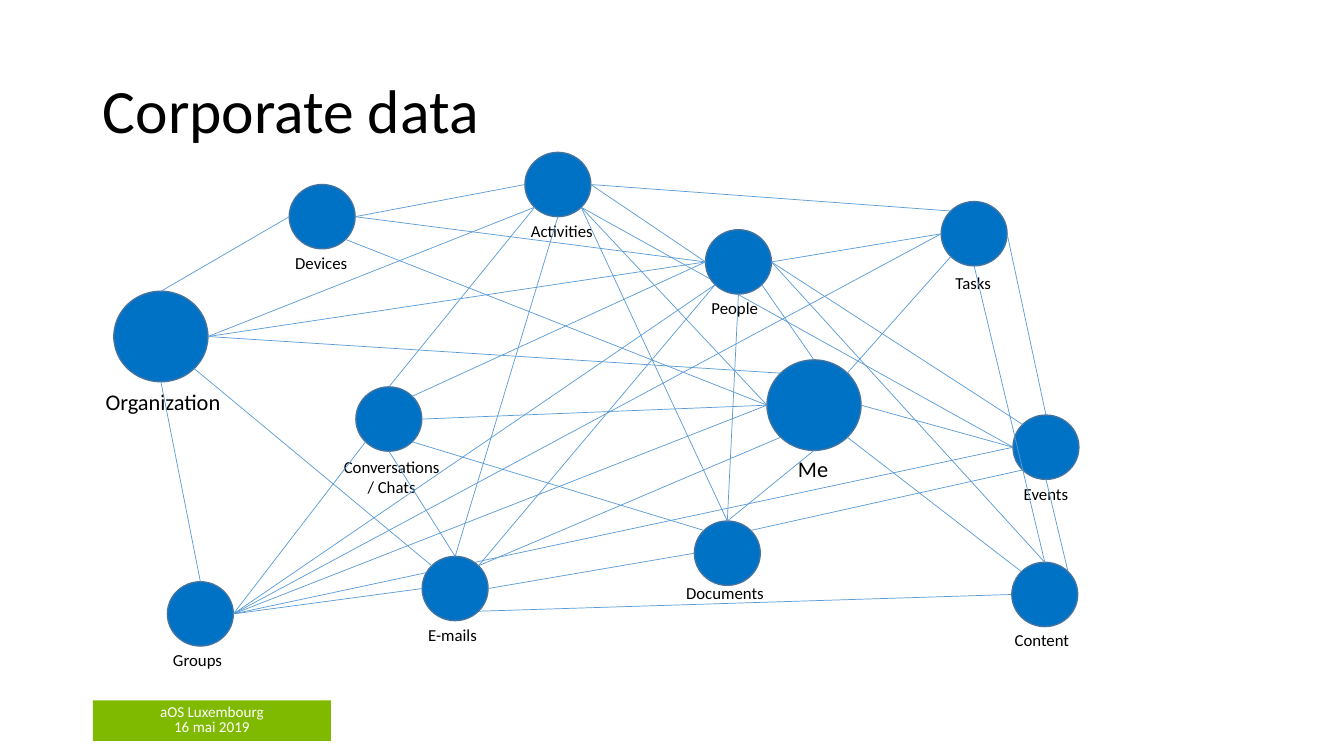
"""Build the slide that maps how corporate data is linked."""
import math

import lxml.etree
import pptx
import pptx.dml.color
import pptx.enum.shapes
import pptx.enum.text
import pptx.oxml.ns
import pptx.util

Cm = pptx.util.Cm
Pt = pptx.util.Pt
RGBColor = pptx.dml.color.RGBColor
Shape = pptx.enum.shapes.MSO_SHAPE
Align = pptx.enum.text.PP_ALIGN
Anchor = pptx.enum.text.MSO_ANCHOR

BLUE = RGBColor(0x00, 0x72, 0xC5)
EDGE = RGBColor(0x43, 0x73, 0x9E)
LINK = RGBColor(0x5B, 0x9B, 0xD5)
GREEN = RGBColor(0x7F, 0xBA, 0x00)
WHITE = RGBColor(0xFF, 0xFF, 0xFF)
BLACK = RGBColor(0x00, 0x00, 0x00)

SMALL = (1.66, 1.62)
LARGE = (2.37, 2.28)

NODES = {
    "Me": (19.33, 9.07, LARGE),
    "E-mails": (10.64, 14.02, SMALL),
    "Events": (25.53, 10.46, SMALL),
    "Documents": (17.5, 13.13, SMALL),
    "Tasks": (23.72, 5.08, SMALL),
    "Content": (25.5, 14.17, SMALL),
    "Groups": (4.22, 14.66, SMALL),
    "People": (17.78, 5.79, SMALL),
    "Organization": (2.87, 7.34, LARGE),
    "Chats": (8.97, 9.75, SMALL),
    "Devices": (7.29, 4.65, SMALL),
    "Activities": (13.23, 3.84, SMALL),
}

LABELS = [
    ("Me", 19.86, 11.35, 1.33),
    ("E-mails", 10.54, 15.62, 1.86),
    ("Events", 25.55, 12.07, 1.65),
    ("Documents", 17.04, 14.55, 2.64),
    ("Tasks", 23.83, 6.76, 1.78),
    ("Content", 25.32, 15.75, 2.11),
    ("Groups", 4.11, 16.26, 1.84),
    ("People", 17.68, 7.39, 1.88),
    ("Organization", 2.41, 9.65, 3.56),
    ("Devices", 7.19, 6.25, 1.85),
    ("Activities", 13.13, 5.44, 2.1),
]

COMPASS = ["E", "SE", "S", "SW", "W", "NW", "N", "NE"]

BACK = """
Activities SE Events W
Events W Groups E
Content W E-mails SE
"""

FRONT = """
Me S Documents N
Me NE Tasks SW
Chats SW Groups E
Chats NE People W
Me W Chats E
Activities SW Chats N
Chats S E-mails N
Me SW E-mails NE
Content NW Me SE
Events W Me E
Me W Devices SE
Me NW Organization E
Groups N Organization S
People SW Groups E
E-mails W Groups E
E-mails NW Organization SE
People SE Me N
People E Tasks W
Groups E Tasks W
Events NW People E
People S Documents N
E-mails E Documents W
Chats SE Documents NW
Devices W Organization N
Events S Content NE
Events N Tasks E
Documents NE Events SW
Content N Tasks S
Activities W Devices E
Activities SW Organization E
Activities E People W
Activities E Tasks NW
Activities S E-mails N
Activities SE Documents N
Activities SE Me W
Content N People E
People SW E-mails NE
Me W Groups E
People W Organization E
People W Devices E
"""


def write(frame, text, size=12, color=BLACK, align=Align.LEFT,
          anchor=Anchor.TOP, spacing=1.0):
    """Fill a text frame, with one paragraph for each line of text."""
    frame.word_wrap = True
    frame.vertical_anchor = anchor
    for i, line in enumerate(text.split("\n")):
        para = frame.paragraphs[0] if i == 0 else frame.add_paragraph()
        para.text = line
        para.alignment = align
        para.line_spacing = spacing
        para.font.name = "Calibri"
        para.font.size = Pt(size)
        para.font.color.rgb = color


def label(slide, text, left, top, width, height, **style):
    """Add a text box."""
    box = slide.shapes.add_textbox(Cm(left), Cm(top), Cm(width), Cm(height))
    write(box.text_frame, text, **style)


def block(slide, kind, left, top, width, height, fill, line=None):
    """Add a filled shape, with an outline if a line colour is given."""
    shape = slide.shapes.add_shape(kind, Cm(left), Cm(top), Cm(width), Cm(height))
    shape.shadow.inherit = False
    shape.fill.solid()
    shape.fill.fore_color.rgb = fill
    if line is None:
        shape.line.fill.background()
    else:
        shape.line.color.rgb = line
        shape.line.width = Pt(1)
    return shape


def site(name, side):
    """Return the point on the rim of a node at a compass side."""
    left, top, (width, height) = NODES[name]
    angle = COMPASS.index(side) * math.pi / 4
    return (Cm(left + width / 2 * (1 + math.cos(angle))),
            Cm(top + height / 2 * (1 + math.sin(angle))))


def join(slide, links):
    """Draw a thin line for each row of node, side, node, side."""
    for row in links.strip().splitlines():
        start, out, end, into = row.split()
        line = slide.shapes.add_connector(
            pptx.enum.shapes.MSO_CONNECTOR.STRAIGHT,
            *site(start, out), *site(end, into))
        line.line.color.rgb = LINK
        line.line.width = Pt(0.5)
        lxml.etree.SubElement(line._element.spPr,
                              pptx.oxml.ns.qn("a:effectLst"))


def main():
    """Build and save the slide."""
    deck = pptx.Presentation()
    deck.slide_width, deck.slide_height = Cm(33.87), Cm(19.05)
    slide = deck.slides.add_slide(deck.slide_layouts[6])
    badge = block(slide, Shape.RECTANGLE, 2.34, 17.65, 6, 1.02, GREEN)
    write(badge.text_frame, "aOS Luxembourg\n16 mai 2019", size=10.8,
          color=WHITE, align=Align.CENTER, anchor=Anchor.MIDDLE, spacing=0.8)
    join(slide, BACK)
    label(slide, "Corporate data", 2.34, 1.02, 25.25, 3.68, size=44,
          anchor=Anchor.MIDDLE, spacing=0.9)
    for left, top, size in NODES.values():
        block(slide, Shape.OVAL, left, top, *size, BLUE, EDGE)
    for name, left, top, width in LABELS:
        big = NODES[name][2] == LARGE
        label(slide, name, left, top, width, 0.94 if big else 0.76,
              size=16 if big else 12)
    label(slide, "Conversations / Chats", 8.31, 11.38, 3.12, 1.27,
          align=Align.CENTER)
    join(slide, FRONT)
    deck.save("out.pptx")


if __name__ == "__main__":
    main()
